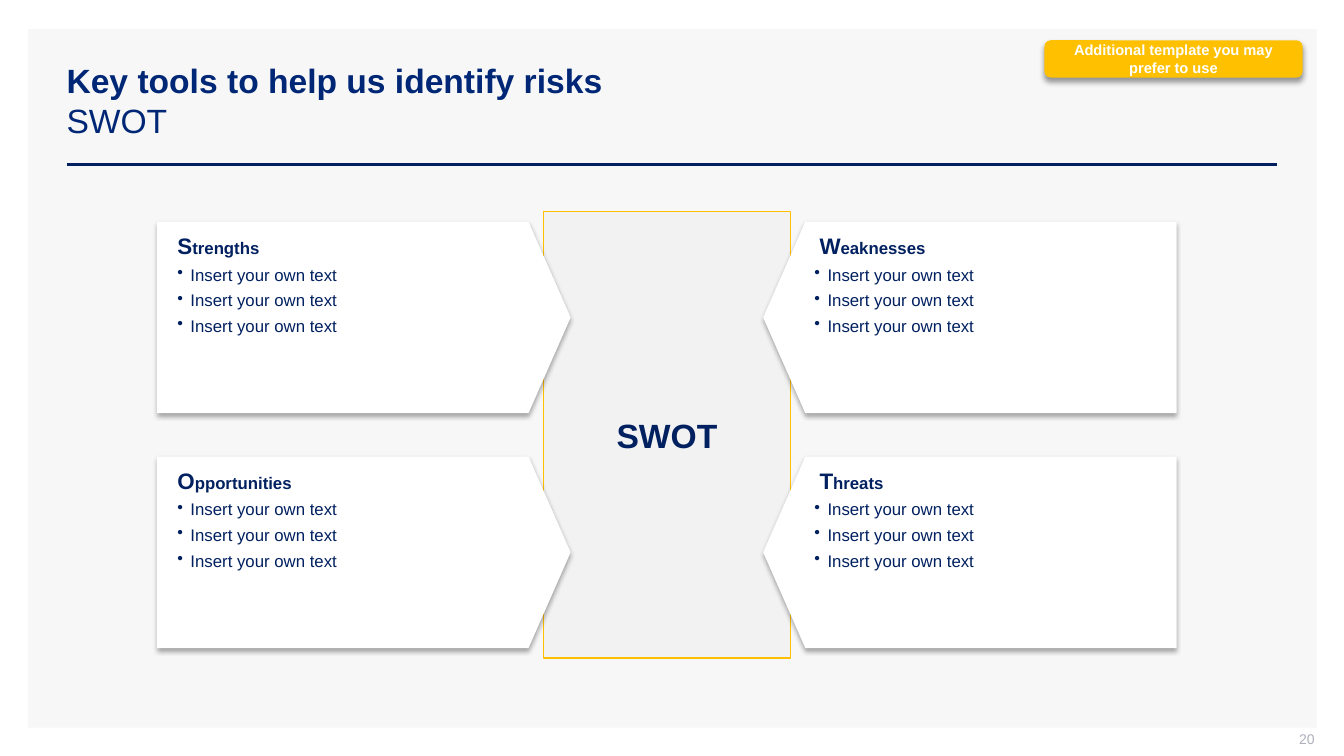
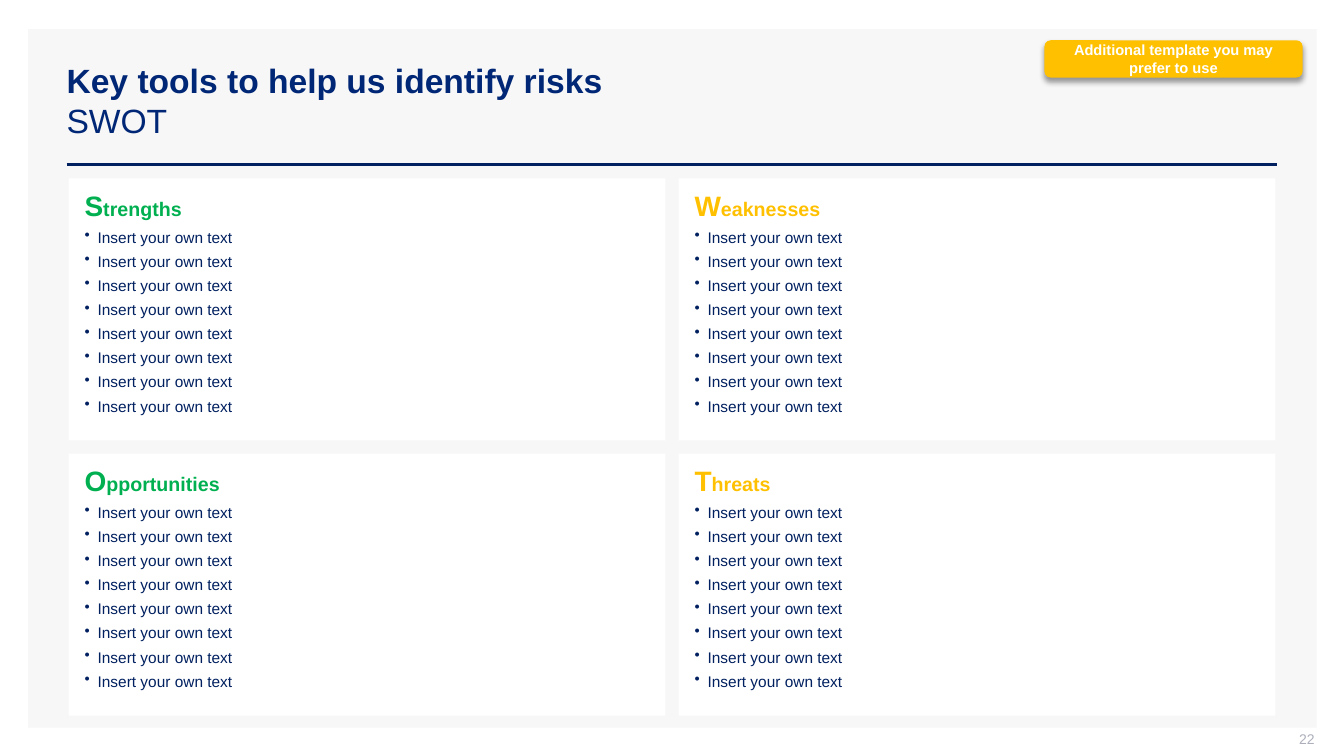
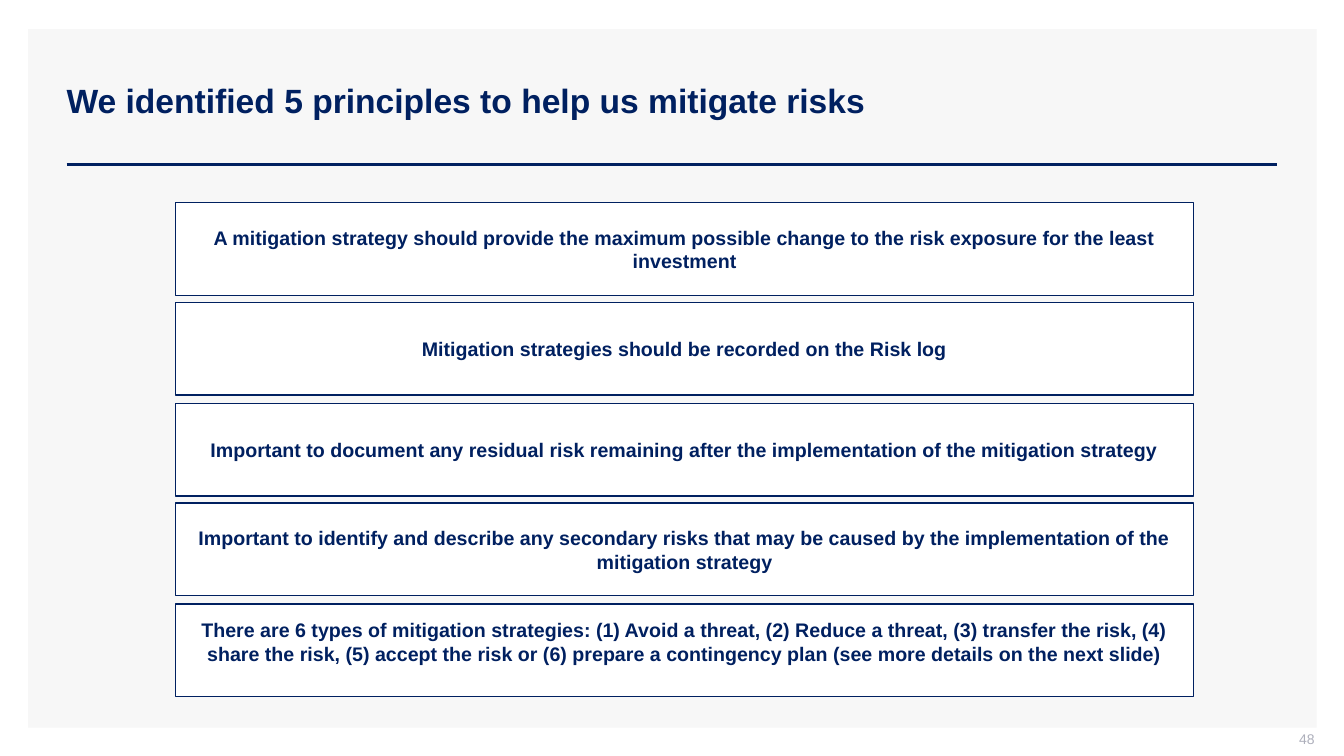
"""Build three risk-management slides: two SWOT templates and five mitigation principles."""
from dataclasses import dataclass

from lxml import etree
from pptx import Presentation
from pptx.dml.color import RGBColor
from pptx.enum.shapes import MSO_CONNECTOR, MSO_SHAPE
from pptx.enum.text import MSO_ANCHOR, MSO_AUTO_SIZE, PP_ALIGN
from pptx.oxml.ns import qn
from pptx.util import Emu, Pt

PX = 9144
RECTANGLE = MSO_SHAPE.RECTANGLE
ROUNDED = MSO_SHAPE.ROUNDED_RECTANGLE
PENTAGON = MSO_SHAPE.PENTAGON
STRAIGHT = MSO_CONNECTOR.STRAIGHT
TOP, MIDDLE = MSO_ANCHOR.TOP, MSO_ANCHOR.MIDDLE
LEFT, CENTER, RIGHT = PP_ALIGN.LEFT, PP_ALIGN.CENTER, PP_ALIGN.RIGHT
NO_AUTOFIT = MSO_AUTO_SIZE.NONE


@dataclass(frozen=True)
class Theme:
    font: str = "Arial"
    navy: str = "002060"
    title_blue: str = "002776"
    amber: str = "FFC000"
    green: str = "00B050"
    white: str = "FFFFFF"
    panel: str = "F7F7F7"
    centre: str = "F2F2F2"
    number: str = "ADAFBB"
    title_size: float = 24
    tag_size: float = 10.5
    number_size: float = 10
    principle_size: float = 14


@dataclass(frozen=True)
class ListStyle:
    initial_size: float
    heading_size: float
    item_size: float
    space_before: float
    space_after: float
    bullet_indent: int


THEME = Theme()
ARROW_LIST = ListStyle(16, 12, 12, 4, 0, 13)
QUADRANT_LIST = ListStyle(20, 14, 11, 2, 2, 19)
HANGING = 13
TAG_SHADOW = (40, 4, 3)
ARROW_SHADOW = (32, 3.5, 2.2)
ITEM = "Insert your own text"
SWOT_TITLE = "Key tools to help us identify risks\vSWOT"
SWOT_GRID = (("Strengths", "Weaknesses"), ("Opportunities", "Threats"))
PRINCIPLES = (
    "A mitigation strategy should provide the maximum possible change to the risk "
    "exposure for the least investment",
    "Mitigation strategies should be recorded on the Risk log",
    "Important to document any residual risk remaining after the implementation of "
    "the mitigation strategy",
    "Important to identify and describe any secondary risks that may be caused by "
    "the implementation of the mitigation strategy",
    "There are 6 types of mitigation strategies: (1) Avoid a threat, (2) Reduce a "
    "threat, (3) transfer the risk, (4) share the risk, (5) accept the risk or (6) "
    "prepare a contingency plan (see more details on the next slide)",
)


def px(*lengths):
    """Turn px lengths into EMU."""
    return [Emu(length * PX) for length in lengths]


def style_span(span, size, color, bold=False):
    """Give a run its font, size, colour and weight."""
    span.font.name = THEME.font
    span.font.size = Pt(size)
    span.font.bold = bold
    span.font.color.rgb = RGBColor.from_string(color)


def set_frame(frame, anchor, insets=(10, 5, 10, 5)):
    """Set the wrapping, anchor and insets of a text frame."""
    frame.word_wrap = True
    frame.auto_size = NO_AUTOFIT
    frame.vertical_anchor = anchor
    (frame.margin_left, frame.margin_top,
     frame.margin_right, frame.margin_bottom) = px(*insets)


def write_line(box, text, size, color, align, bold=True, insets=(10, 5, 10, 5)):
    """Write one vertically centred paragraph in a box."""
    set_frame(box.text_frame, MIDDLE, insets)
    box.text_frame.text = text
    para = box.text_frame.paragraphs[0]
    para.alignment = align
    style_span(para.runs[0], size, color, bold)


def add_box(page, kind, area, fill, line=None):
    """Add a filled shape without shadow, outlined if a line colour is given."""
    box = page.shapes.add_shape(kind, *px(*area))
    box.shadow.inherit = False
    box.fill.solid()
    box.fill.fore_color.rgb = RGBColor.from_string(fill)
    if line:
        box.line.color.rgb = RGBColor.from_string(line)
        box.line.width = Pt(1)
    else:
        box.line.fill.background()
    return box


def cast_shadow(box, opacity, blur, distance):
    """Give a box a soft black shadow straight below it."""
    effects = box.element.spPr.find(qn("a:effectLst"))
    shadow = etree.SubElement(
        effects, qn("a:outerShdw"), blurRad=str(Pt(blur)), dist=str(Pt(distance)),
        dir="5400000", algn="t", rotWithShape="0")
    color = etree.SubElement(shadow, qn("a:srgbClr"), val="000000")
    etree.SubElement(color, qn("a:alpha"), val=str(opacity * 1000))


def indent(para, left, first=0):
    """Set the left margin and first-line offset of a paragraph."""
    properties = para._p.get_or_add_pPr()
    properties.set("marL", str(left * PX))
    properties.set("indent", str(first * PX))
    return properties


def write_list(box, heading, heading_color, heading_indent, count, style, insets):
    """Write a heading with a large initial and bulleted items below it."""
    frame = box.text_frame
    set_frame(frame, TOP, insets)
    para = frame.paragraphs[0]
    para.alignment = LEFT
    para.space_after = Pt(style.space_after)
    indent(para, heading_indent)
    for text, size in ((heading[0], style.initial_size),
                       (heading[1:], style.heading_size)):
        span = para.add_run()
        span.text = text
        style_span(span, size, heading_color, True)
    for _ in range(count):
        para = frame.add_paragraph()
        para.text = ITEM
        para.alignment = LEFT
        properties = indent(para, style.bullet_indent, -HANGING)
        etree.SubElement(properties, qn("a:buChar"), char="•")
        para.space_before = Pt(style.space_before)
        para.space_after = Pt(style.space_after)
        style_span(para.runs[0], style.item_size, THEME.navy)


def furnish_layout(deck, layout, page):
    """Put the panel, the rule and the title style into the template."""
    title_style = deck.slide_master.element.xpath(
        "p:txStyles/p:titleStyle/a:lvl1pPr")[0]
    title_style.set("algn", "l")
    title_style.find(qn("a:defRPr")).set("sz", str(THEME.title_size * 100))
    title = layout.placeholders[0]
    title.left, title.top, title.width, title.height = px(56, 40, 1211, 119)
    panel = add_box(page, RECTANGLE, (28, 29, 1278, 693), THEME.panel)
    rule = page.shapes.add_connector(STRAIGHT, *px(66, 163, 1267, 163))
    rule.line.color.rgb = RGBColor.from_string(THEME.navy)
    rule.line.width = Pt(2)
    etree.SubElement(rule.element.spPr, qn("a:effectLst"))
    for offset, part in enumerate((panel, rule)):
        part.element.xpath("./*/p:cNvPr")[0].set("id", str(101 + offset))
        layout.shapes.element.insert(2 + offset, part.element)


def dress_page(page, title, color, number):
    """Write the title and the page number."""
    frame = page.shapes.title.text_frame
    frame.text = title
    set_frame(frame, MIDDLE)
    for index, span in enumerate(frame.paragraphs[0].runs):
        style_span(span, THEME.title_size, color, index == 0)
    box = page.shapes.add_textbox(*px(1004, 725, 300, 21))
    write_line(box, str(number), THEME.number_size, THEME.number, RIGHT,
               bold=False, insets=(10, 0, 0, 5))


def add_tag(page):
    """Add the amber tag in the top right corner."""
    tag = add_box(page, ROUNDED, (1036, 40, 256, 37), THEME.amber)
    cast_shadow(tag, *TAG_SHADOW)
    write_line(tag, "Additional template you may prefer to use",
               THEME.tag_size, THEME.white, CENTER)


def draw_arrows(page):
    """Draw four arrow cards that point at a central SWOT block."""
    centre = add_box(page, RECTANGLE, (539, 210, 245, 443), THEME.centre, THEME.amber)
    write_line(centre, "SWOT", THEME.title_size, THEME.navy, CENTER,
               insets=(10, 10, 10, 10))
    for row, headings in enumerate(SWOT_GRID):
        for column, heading in enumerate(headings):
            area = (156 + column * 601, 220 + row * 233, 410, 190)
            card = add_box(page, PENTAGON, area, THEME.white)
            card.adjustments[0] = 0.22
            cast_shadow(card, *ARROW_SHADOW)
            if column:
                card.element.spPr.find(qn("a:xfrm")).set("flipH", "1")
            write_list(card, heading, THEME.navy, 5 * column, 3, ARROW_LIST,
                       (20 + 10 * column, 10, 10, 10))


def draw_quadrants(page):
    """Draw the four SWOT quadrants, one heading colour per column."""
    for row, headings in enumerate(SWOT_GRID):
        for column, heading in enumerate(headings):
            area = (68 + column * 605, 177 + row * 273, 592, 260)
            card = add_box(page, RECTANGLE, area, THEME.white)
            write_list(card, heading, (THEME.green, THEME.amber)[column], 6, 8,
                       QUADRANT_LIST, (10, 10, 10, 10))


def draw_principles(page):
    """Stack the principles in equal boxes, the last text set a little higher."""
    for index, text in enumerate(PRINCIPLES):
        area = (174, 201 + index * 199 // 2, 1010, 92)
        box = add_box(page, RECTANGLE, area, THEME.white, THEME.navy)
        bottom = 22 if text == PRINCIPLES[-1] else 5
        write_line(box, text, THEME.principle_size, THEME.navy, CENTER,
                   insets=(10, 5, 10, bottom))


def main():
    """Build and save the deck."""
    deck = Presentation()
    deck.slide_width, deck.slide_height = px(1333, 750)
    layout = deck.slide_layouts[5]
    arrows, quadrants, principles = [deck.slides.add_slide(layout) for _ in range(3)]
    furnish_layout(deck, layout, arrows)
    for page, number, draw in ((arrows, 20, draw_arrows),
                               (quadrants, 22, draw_quadrants)):
        dress_page(page, SWOT_TITLE, THEME.title_blue, number)
        add_tag(page)
        draw(page)
    dress_page(principles, "We identified 5 principles to help us mitigate risks",
               THEME.navy, 48)
    draw_principles(principles)
    deck.save("out.pptx")


if __name__ == "__main__":
    main()
